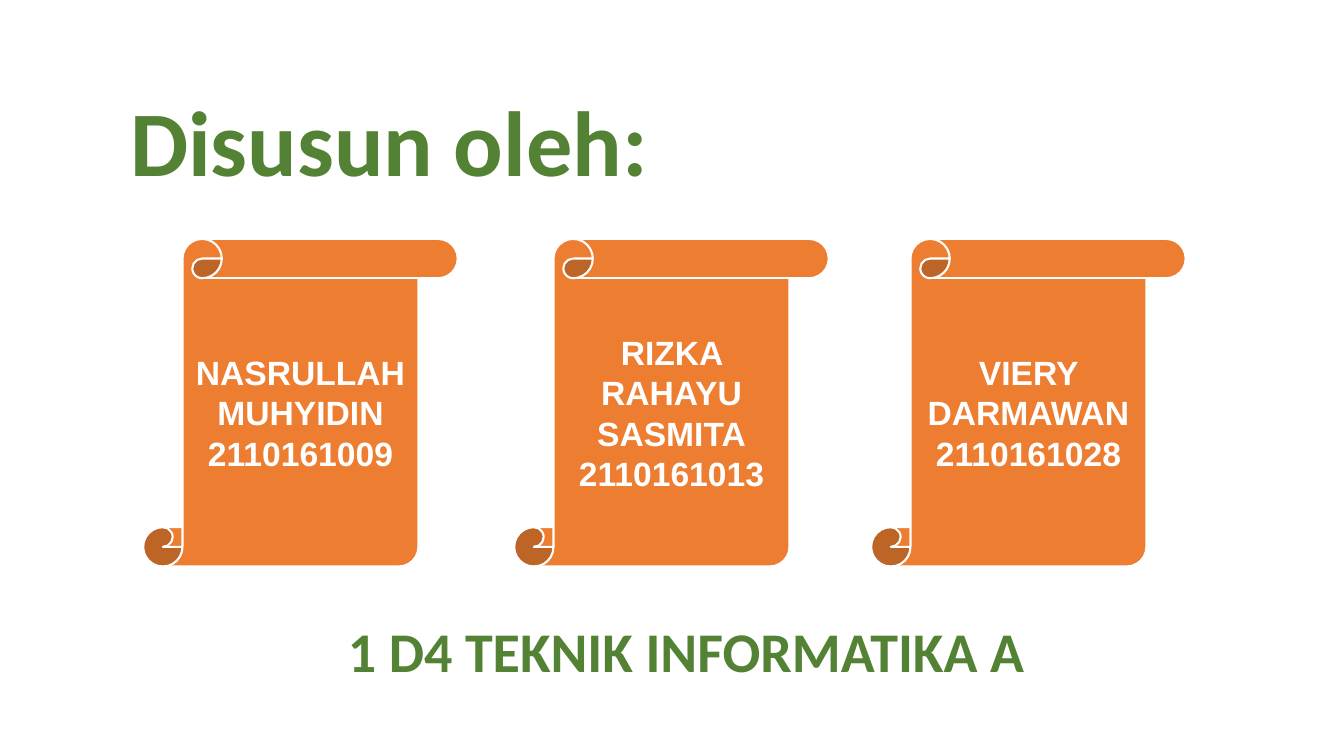
"""Build the slide that presents the three authors and their class."""
import pptx
import pptx.dml.color
import pptx.enum.shapes
import pptx.enum.text
import pptx.util

Inches = pptx.util.Inches
ALIGN = pptx.enum.text.PP_ALIGN
ANCHOR = pptx.enum.text.MSO_ANCHOR
SCROLL = pptx.enum.shapes.MSO_SHAPE.VERTICAL_SCROLL
COLORS = {"green": "548235", "orange": "ED7D31", "white": "FFFFFF"}


def color(name):
    return pptx.dml.color.RGBColor.from_string(COLORS[name])


def write(shape, lines, anchor, align, tint, font):
    frame = shape.text_frame
    frame.text = "\n".join(lines)
    frame.word_wrap = True
    frame.auto_size = pptx.enum.text.MSO_AUTO_SIZE.NONE
    frame.vertical_anchor = anchor
    for para in frame.paragraphs:
        para.alignment = align
        para.line_spacing = 0.9 if shape.is_placeholder else 1.0
        for run in para.runs:
            run.font.color.rgb = color(tint)
            for key, value in font.items():
                setattr(run.font, key, value)


deck = pptx.Presentation()
deck.slide_width = Inches(13.33)
deck.slide_height = Inches(7.5)
slide = deck.slides.add_slide(deck.slide_layouts[5])

title = slide.shapes.title
place = {"left": 1.19, "top": 0.75, "width": 11.23, "height": 1.25}
for key, value in place.items():
    setattr(title, key, Inches(value))
write(title, ["Disusun oleh:"], ANCHOR.BOTTOM, ALIGN.LEFT, "green",
      {"name": "Calibri", "size": pptx.util.Pt(66), "bold": True})

authors = [
    (1.42, "NASRULLAH MUHYIDIN", "2110161009"),
    (5.1, "RIZKA RAHAYU SASMITA", "2110161013"),
    (8.64, "VIERY DARMAWAN", "2110161028"),
]
for left, name, number in authors:
    scroll = slide.shapes.add_shape(
        SCROLL, Inches(left), Inches(2.37), Inches(3.12), Inches(3.25))
    scroll.shadow.inherit = False
    scroll.fill.solid()
    scroll.fill.fore_color.rgb = color("orange")
    scroll.line.color.rgb = color("white")
    scroll.line.width = pptx.util.Pt(1.5)
    write(scroll, [name, number], ANCHOR.MIDDLE, ALIGN.CENTER, "white",
          {"name": "Arial", "size": pptx.util.Pt(24), "bold": True})

group = slide.shapes.add_textbox(
    Inches(1.19), Inches(6), Inches(11.23), Inches(0.83))
write(group, ["1 D4 TEKNIK INFORMATIKA A"], ANCHOR.BOTTOM, ALIGN.CENTER, "green",
      {"name": "Calibri", "size": pptx.util.Pt(40), "bold": True})

deck.save("out.pptx")
